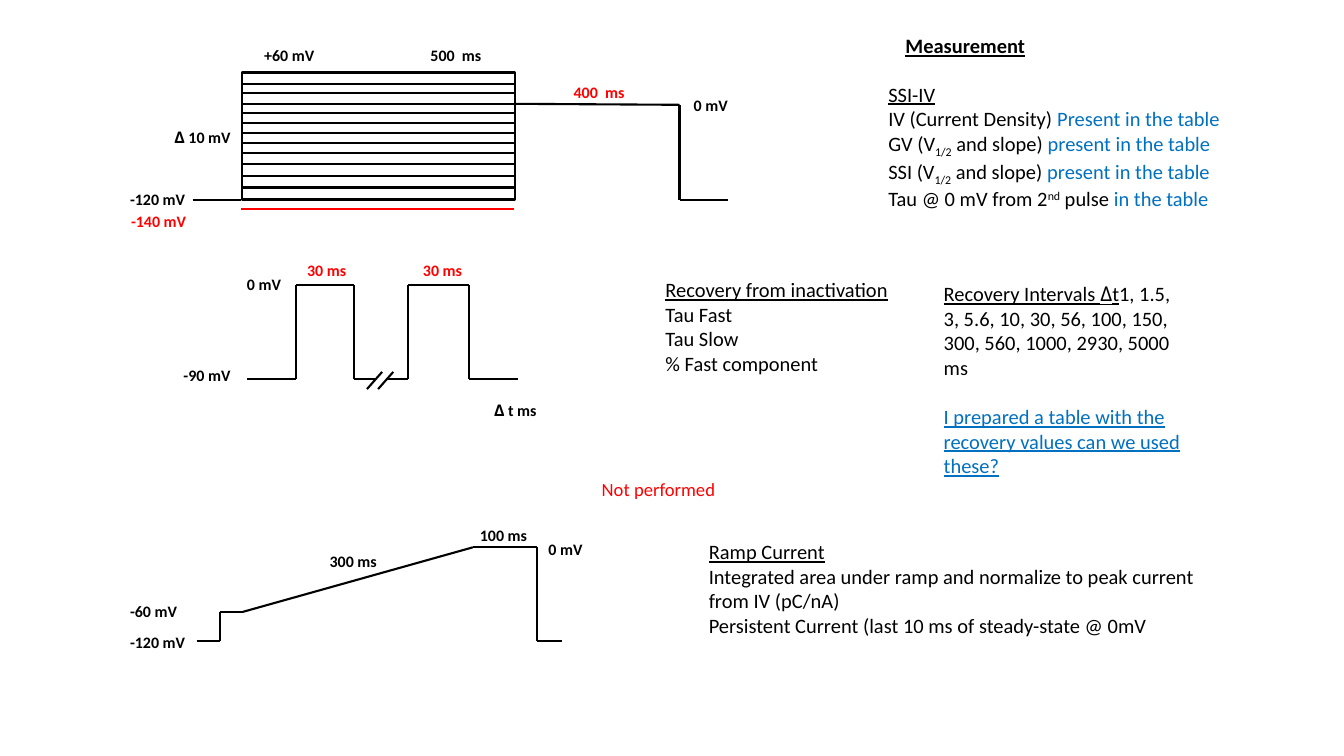
from itertools import pairwise

from lxml.etree import SubElement
from pptx import Presentation
from pptx.dml.color import RGBColor
from pptx.enum.shapes import MSO_CONNECTOR, MSO_SHAPE
from pptx.enum.text import MSO_AUTO_SIZE, PP_ALIGN
from pptx.oxml.ns import qn
from pptx.util import Pt

PX = 9144  # 100 px to the inch
COLORS = {"black": "000000", "red": "FF0000", "blue": "0070C0"}

prs = Presentation()
prs.slide_width, prs.slide_height = 1333 * PX, 750 * PX
s = prs.slides.add_slide(prs.slide_layouts[6])


def add_path(points, color="black"):
    """Join the points with straight connectors."""
    for (x1, y1), (x2, y2) in pairwise(points):
        c = s.shapes.add_connector(MSO_CONNECTOR.STRAIGHT, x1 * PX, y1 * PX, x2 * PX, y2 * PX)
        c.line.color.rgb = RGBColor.from_string(COLORS[color])
        c.line.width = Pt(1.5)
        SubElement(c._element.spPr, qn("a:effectLst"))


def add_text(x, y, w, h, paragraphs, size, bold=False, inset=(8, 4), wrap=True):
    """Each paragraph is a list of (text, color, style) runs."""
    tf = s.shapes.add_textbox(x * PX, y * PX, w * PX, h * PX).text_frame
    tf.word_wrap = wrap
    tf.auto_size = MSO_AUTO_SIZE.SHAPE_TO_FIT_TEXT
    tf.margin_left = tf.margin_right = inset[0] * PX
    tf.margin_top = tf.margin_bottom = inset[1] * PX
    for i, runs in enumerate(paragraphs):
        p = tf.add_paragraph() if i else tf.paragraphs[0]
        for text, color, style in runs:
            r = p.add_run()
            r.text = text
            r.font.name = "Noto Sans" if text == "Δ" else "Calibri"
            r.font.size = Pt(size)
            r.font.bold = bold
            r.font.underline = style == "under"
            r.font.color.rgb = RGBColor.from_string(COLORS[color])
            if style in ("sub", "super"):
                baseline = {"sub": "-25000", "super": "30000"}[style]
                r._r.get_or_add_rPr().set("baseline", baseline)
    return tf


# Voltage step protocol
box = s.shapes.add_shape(MSO_SHAPE.RECTANGLE, 240 * PX, 72 * PX, 271 * PX, 126 * PX)
box.shadow.inherit = False
box.fill.background()
box.line.color.rgb = RGBColor.from_string(COLORS["black"])
box.line.width = Pt(1.5)
for y in (83, 92, 103, 112, 122, 132, 142, 152, 163, 175, 186):
    add_path([(240, y), (511, y)])
add_path([(191, 198), (239, 198)])
add_path([(512, 103), (674, 104), (674, 198), (722, 198)])
add_path([(239, 207), (510, 207)], "red")

# Recovery protocol: two pulses with a break between them
add_path([(245, 376), (294, 376), (294, 283), (351, 283), (351, 376), (373, 376)])
add_path([(383, 376), (405, 376), (405, 283), (465, 283), (465, 376), (514, 376)])
for x in (364, 375):
    add_path([(x, 386), (x + 15, 369)])

# Ramp protocol
add_path([(195, 636), (218, 636), (218, 607), (241, 607), (469, 543),
          (533, 543), (533, 636), (557, 636)])

# Protocol labels
labels = [
    (254, 41, "+60 mV", "black"), (419, 41, "500  ms", "black"),
    (561, 78, "400  ms", "red"), (680, 91, "0 mV", "black"),
    (165, 123, "Δ 10 mV", "black"), (121, 184, "-120 mV", "black"),
    (122, 206, "-140 mV", "red"), (237, 268, "0 mV", "black"),
    (281, 254, "30 ms", "red"), (396, 254, "30 ms", "red"),
    (174, 359, "-90 mV", "black"), (482, 393, "Δ t ms", "black"),
    (468, 517, "100 ms", "black"), (536, 531, "0 mV", "black"),
    (319, 543, "300 ms", "black"), (121, 593, "-60 mV", "black"),
    (121, 624, "-120 mV", "black"),
]
for x, y, text, color in labels:
    parts = ["Δ", text[1:]] if text[0] == "Δ" else [text]
    tf = add_text(x, y, 86, 27, [[(part, color, "") for part in parts]], 11.4, bold=True)
    if text == "30 ms":
        tf.paragraphs[0].alignment = PP_ALIGN.CENTER

# Measurement notes
add_text(890, 29, 138, 33, [[("Measurement", "black", "under")]], 14.6, bold=True)
slope_rows = [
    [(f"{name} (V", "black", ""), ("1/2", "black", "sub"),
     (" and slope) ", "black", ""), ("present in the table", "blue", "")]
    for name in ("GV", "SSI")
]
add_text(873, 77, 389, 131, [
    [("SSI-IV", "black", "under")],
    [("IV (Current Density) ", "black", ""), ("Present in the table", "blue", "")],
    *slope_rows,
    [("Tau @ 0 mV from 2", "black", ""), ("nd", "black", "super"),
     (" pulse ", "black", ""), ("in the table", "blue", "")],
], 14.6)

# Recovery notes
add_text(652, 271, 257, 107, [
    [("Recovery from inactivation", "black", "under")],
    [("Tau Fast", "black", "")],
    [("Tau Slow", "black", "")],
    [("% Fast component", "black", "")],
], 14.6)
tf = add_text(928, 275, 257, 205, [
    [("Recovery Intervals ", "black", "under"), ("Δ", "black", "under"), ("t", "black", "under"),
     ("1, 1.5, 3, 5.6, 10, 30, 56, 100, 150, 300, 560, 1000, 2930, 5000 ms", "black", "")],
    [("I prepared a table with the recovery values can we used these?", "blue", "under")],
], 14.6)
tf.paragraphs[1].space_before = Pt(17.8)

# Ramp notes
add_text(587, 469, 134, 33, [[("Not performed", "red", "")]], 13.3, inset=(10, 5), wrap=False)
add_text(695, 531, 513, 107, [
    [("Ramp Current", "black", "under")],
    [("Integrated area under ramp and normalize to peak current from IV (pC/nA)", "black", "")],
    [("Persistent Current (last 10 ms of steady-state @ 0mV", "black", "")],
], 14.6)

prs.save("out.pptx")
